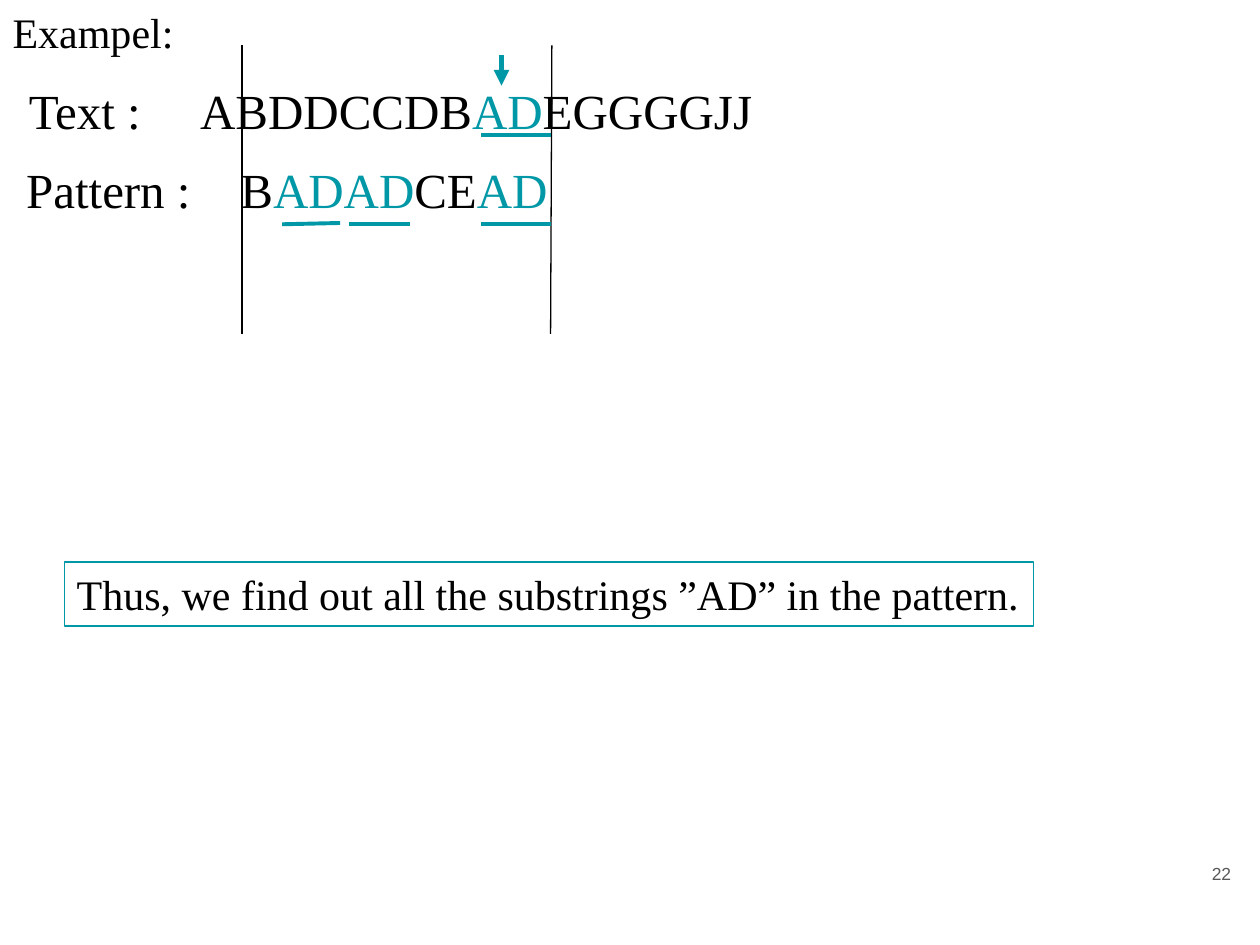
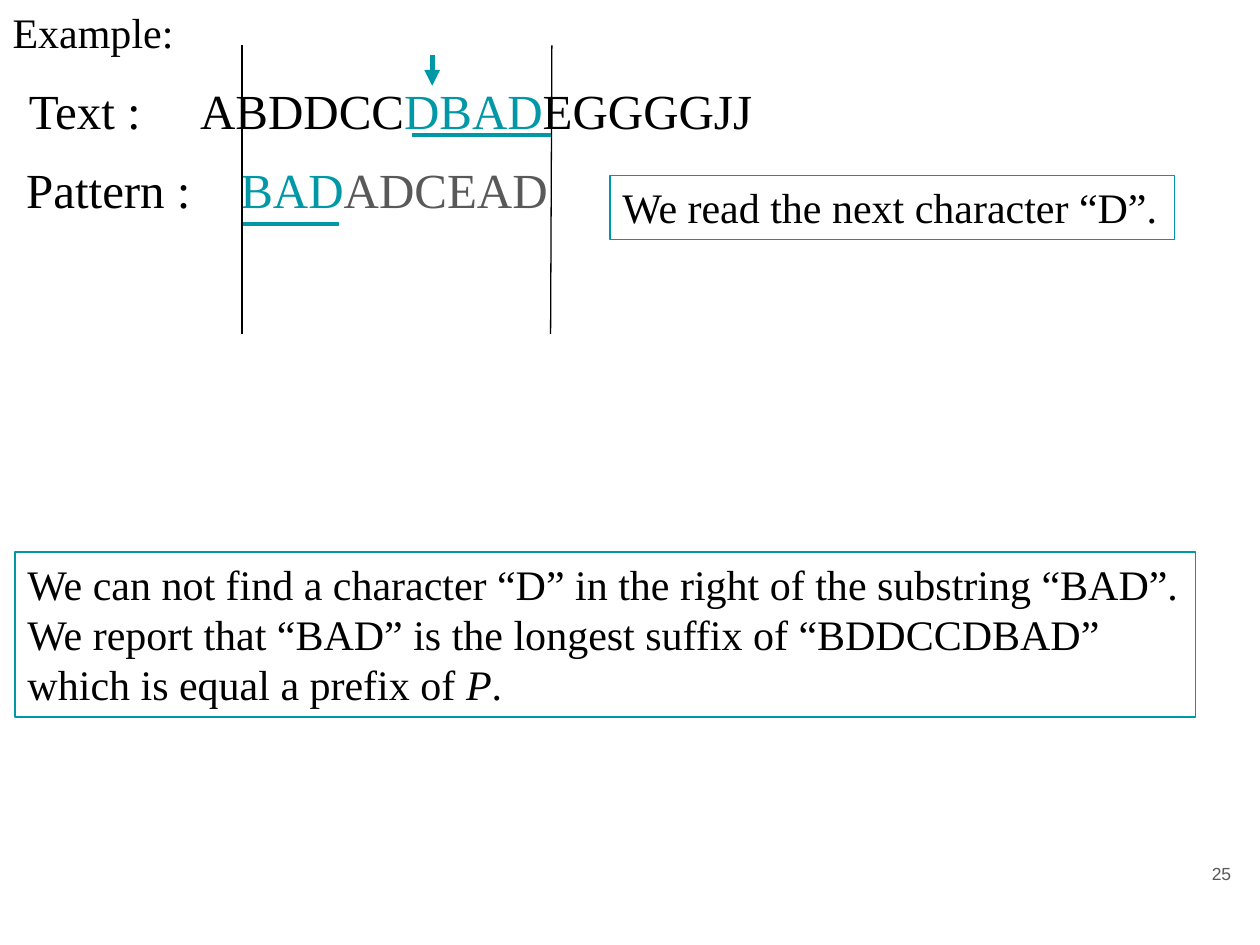
"""Builds two slides that trace a string matching example."""
import pptx
import pptx.util
import pptx.dml.color
import pptx.enum.shapes
import pptx.enum.text
import pptx.oxml
import pptx.oxml.ns
from lxml import etree

Inches = pptx.util.Inches
Pt = pptx.util.Pt
ALIGN = pptx.enum.text.PP_ALIGN
SERIF, SANS = "Times New Roman", "Arial"
BLACK, TEAL, GREY = "000000", "0097A7", "595959"
TEXT_LINE_Y, PATTERN_LINE_Y = 1.07, 1.78
WINDOW_LEFT, WINDOW_RIGHT = 1.92, 4.37


def rgb(color):
    return pptx.dml.color.RGBColor.from_string(color)


def add_run(p, text, size=24, color=BLACK, font=SERIF, italic=False):
    r = p.add_run()
    r.text = text
    r.font.size = Pt(size)
    r.font.name = font
    r.font.italic = italic
    r.font.color.rgb = rgb(color)


def format_frame(tf, right=0):
    tf.word_wrap = True
    tf.auto_size = pptx.enum.text.MSO_AUTO_SIZE.NONE
    tf.vertical_anchor = pptx.enum.text.MSO_ANCHOR.TOP
    tf.margin_left, tf.margin_right = Inches(0.1), Inches(right)
    tf.margin_top = tf.margin_bottom = Inches(0.05)


def add_title(s, text, width):
    sp = s.shapes.title
    sp.left, sp.top, sp.width, sp.height = 0, 0, Inches(width), Inches(0.5)
    format_frame(sp.text_frame)
    p = sp.text_frame.paragraphs[0]
    p.alignment = ALIGN.LEFT
    add_run(p, text)


def add_string(s, x, y, width, label, tab, parts):
    sp = s.shapes.add_textbox(Inches(x), Inches(y), Inches(width), Inches(0.57))
    format_frame(sp.text_frame)
    p = sp.text_frame.paragraphs[0]
    tabs = etree.SubElement(p._p.get_or_add_pPr(), pptx.oxml.ns.qn("a:tabLst"))
    etree.SubElement(tabs, pptx.oxml.ns.qn("a:tab"), pos=str(Inches(tab)), algn="l")
    add_run(p, label + "\t", size=28)
    for text, color in parts:
        add_run(p, text, size=28, color=color)


def add_line(s, x1, y1, x2, y2, color=TEAL, width=2.25, arrow=False):
    cx = s.shapes.add_connector(pptx.enum.shapes.MSO_CONNECTOR.STRAIGHT,
                                Inches(x1), Inches(y1), Inches(x2), Inches(y2))
    cx.line.color.rgb = rgb(color)
    cx.line.width = Pt(width)
    if arrow:
        etree.SubElement(cx.line._get_or_add_ln(), pptx.oxml.ns.qn("a:tailEnd"), type="triangle")
    etree.SubElement(cx._element.spPr, pptx.oxml.ns.qn("a:effectLst"))


def add_callout(s, x, y, width, height, paragraphs):
    sp = s.shapes.add_shape(pptx.enum.shapes.MSO_SHAPE.RECTANGLE,
                            Inches(x), Inches(y), Inches(width), Inches(height))
    sp.shadow.inherit = False
    sp.fill.background()
    sp.line.color.rgb = rgb(TEAL)
    sp.line.width = Pt(0.75)
    tf = sp.text_frame
    format_frame(tf)
    for i, runs in enumerate(paragraphs):
        p = tf.add_paragraph() if i else tf.paragraphs[0]
        p.alignment = ALIGN.LEFT
        for text, italic in runs:
            add_run(p, text, italic=italic)


def add_number(s, number):
    sp = s.shapes.add_textbox(Inches(9.27), Inches(6.8), Inches(0.6), Inches(0.57))
    format_frame(sp.text_frame, right=0.1)
    p = sp.text_frame.paragraphs[0]
    p.alignment = ALIGN.RIGHT
    add_run(p, number, size=10, color=GREY, font=SANS)


def add_example(prs, number, title, title_width, text_parts, pattern_parts, arrow_x, underlines):
    s = prs.slides.add_slide(prs.slide_layouts[5])
    add_number(s, number)
    add_string(s, 0.13, 0.59, 5.99, "Text :", 1.36, text_parts)
    add_string(s, 0.11, 1.22, 4.34, "Pattern :", 1.7, pattern_parts)
    for top_x, bottom_x in ((WINDOW_LEFT, WINDOW_LEFT), (WINDOW_RIGHT + 0.01, WINDOW_RIGHT)):
        add_line(s, top_x, 0.36, bottom_x, 2.65, color=BLACK, width=0.75)
    add_title(s, title, title_width)
    add_line(s, arrow_x, 0.44, arrow_x, 0.68, width=3, arrow=True)
    for x1, y1, x2, y2 in underlines:
        add_line(s, x1, y1, x2, y2)
    return s


def main():
    prs = pptx.Presentation()
    prs.slide_width, prs.slide_height = Inches(10), Inches(7.5)

    s = add_example(
        prs, "22", "Exampel:", 1.92,
        [("ABDDCCDB", BLACK), ("AD", TEAL), ("EGGGGJJ", BLACK)],
        [("B", BLACK), ("ADAD", TEAL), ("CE", BLACK), ("AD", TEAL)],
        3.98,
        [(3.82, PATTERN_LINE_Y, WINDOW_RIGHT, PATTERN_LINE_Y),
         (3.82, TEXT_LINE_Y, WINDOW_RIGHT, TEXT_LINE_Y),
         (2.77, PATTERN_LINE_Y, 3.25, PATTERN_LINE_Y),
         (2.24, PATTERN_LINE_Y, 2.7, PATTERN_LINE_Y - 0.01)])
    add_callout(s, 0.51, 4.46, 7.69, 0.51,
                [[("Thus, we find out all the substrings ”AD” in the pattern.", False)]])

    s = add_example(
        prs, "25", "Example:", 2.33,
        [("ABDDCC", BLACK), ("DBAD", TEAL), ("EGGGGJJ", BLACK)],
        [("BAD", TEAL), ("ADCEAD", GREY)],
        3.43,
        [(3.27, TEXT_LINE_Y, WINDOW_RIGHT, TEXT_LINE_Y),
         (1.93, PATTERN_LINE_Y, 2.69, PATTERN_LINE_Y)])
    add_callout(s, 0.12, 4.38, 9.37, 1.31, [
        [("We can not find a character “D” in the right of the substring “BAD”.", False)],
        [("We report that “BAD” is the longest suffix of “BDDCCDBAD”", False)],
        [("which is equal a prefix of ", False), ("P", True), (".", False)]])
    add_callout(s, 4.84, 1.39, 4.48, 0.51, [[("We read the next character “D”.", False)]])

    prs.save("out.pptx")


if __name__ == "__main__":
    main()
